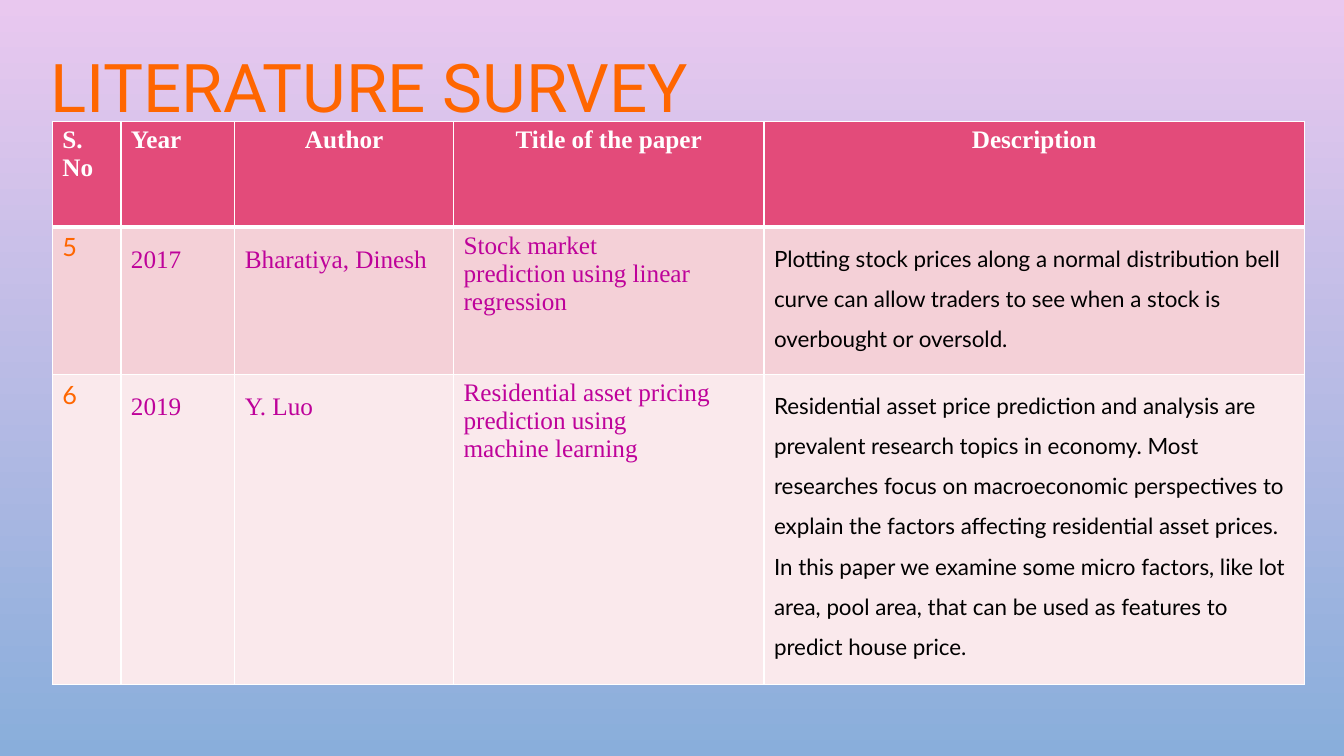
from dataclasses import dataclass

from lxml import etree
from pptx import Presentation
from pptx.dml.color import RGBColor
from pptx.enum.text import MSO_ANCHOR, PP_ALIGN
from pptx.oxml.ns import qn
from pptx.util import Pt

LEFT, CENTER = PP_ALIGN.LEFT, PP_ALIGN.CENTER
MIDDLE = MSO_ANCHOR.MIDDLE
BLANK_LAYOUT = 6


@dataclass(frozen=True)
class Theme:
    sky_top: str = "E9C8EF"
    sky_bottom: str = "89AEDB"
    accent: str = "FF6600"
    header_fill: str = "E34B7A"
    row_fills: tuple = ("F4D0D7", "FAE9EC")
    border: str = "FFFFFF"
    header_text: str = "FFFFFF"
    detail_text: str = "BE029A"
    description_text: str = "000000"
    title_font: str = "Roboto"
    serif_font: str = "Times New Roman"
    sans_font: str = "Lato"
    title_size: int = 48
    table_size: int = 18
    description_size: int = 16


THEME = Theme()
COLUMN_WIDTHS = (49, 81.4, 156.2, 221.8, 385.9)
ROW_HEIGHTS = (75.6, 105.1, 221.8)
HEADERS = (
    ("S. No", LEFT),
    ("Year", LEFT),
    ("Author", CENTER),
    ("Title of the paper", CENTER),
    ("Description", CENTER),
)
PAPERS = (
    ("5", "2017", "Bharatiya, Dinesh",
     "Stock market\nprediction using linear regression",
     "Plotting stock prices along a normal distribution bell curve can allow "
     "traders to see when a stock is overbought or oversold."),
    ("6", "2019", "Y. Luo",
     "Residential asset pricing prediction using\nmachine learning",
     "Residential asset price prediction and analysis are prevalent research "
     "topics in economy. Most researches focus on macroeconomic perspectives to "
     "explain the factors affecting residential asset prices. In this paper we "
     "examine some micro factors, like lot area, pool area, that can be used as "
     "features to predict house price."),
)
SERIF = dict(font=THEME.serif_font, size=THEME.table_size, color=THEME.detail_text)
COLUMN_FORMATS = (
    dict(font=THEME.sans_font, size=THEME.table_size, color=THEME.accent),
    dict(SERIF, line_spacing=1.5),
    dict(SERIF, line_spacing=1.5),
    SERIF,
    dict(font=THEME.sans_font, size=THEME.description_size,
         color=THEME.description_text, line_spacing=1.5),
)


def write_text(text_frame, text, *, font, size, color, bold=False,
               align=LEFT, line_spacing=1.0):
    """Fill a text frame, with one paragraph for each line of the text."""
    text_frame.word_wrap = True
    for index, line in enumerate(text.split("\n")):
        paragraph = text_frame.add_paragraph() if index else text_frame.paragraphs[0]
        paragraph.alignment = align
        paragraph.line_spacing = line_spacing
        run = paragraph.add_run()
        run.text = line
        run.font.name = font
        run.font.size = Pt(size)
        run.font.bold = bold
        run.font.color.rgb = RGBColor.from_string(color)


class SlideBuilder:
    def __init__(self, slide, theme):
        self.slide = slide
        self.theme = theme

    def background(self):
        fill = self.slide.background.fill
        fill.gradient()
        fill.gradient_angle = 270
        colors = (self.theme.sky_top, self.theme.sky_bottom)
        for stop, color in zip(fill.gradient_stops, colors):
            stop.color.rgb = RGBColor.from_string(color)

    def title(self, text, left, top, width, height):
        box = self.slide.shapes.add_textbox(Pt(left), Pt(top), Pt(width), Pt(height))
        box.text_frame.vertical_anchor = MIDDLE
        write_text(box.text_frame, text, font=self.theme.title_font,
                   size=self.theme.title_size, color=self.theme.accent,
                   line_spacing=0.9)

    def table(self, left, top, column_widths, row_heights):
        frame = self.slide.shapes.add_table(
            len(row_heights), len(column_widths), Pt(left), Pt(top),
            Pt(sum(column_widths)), Pt(sum(row_heights)))
        table = frame.table
        table.horz_banding = False
        for column, width in zip(table.columns, column_widths):
            column.width = Pt(width)
        for row, height in zip(table.rows, row_heights):
            row.height = Pt(height)
        return table

    def cell(self, cell, text, fill, top_border=1, bottom_border=1, **text_format):
        properties = cell._tc.get_or_add_tcPr()
        borders = (("a:lnL", 1), ("a:lnR", 1),
                   ("a:lnT", top_border), ("a:lnB", bottom_border))
        for tag, width in borders:
            line = etree.SubElement(properties, qn(tag), w=str(Pt(width)))
            solid = etree.SubElement(line, qn("a:solidFill"))
            etree.SubElement(solid, qn("a:srgbClr"), val=self.theme.border)
        cell.fill.solid()
        cell.fill.fore_color.rgb = RGBColor.from_string(fill)
        write_text(cell.text_frame, text, **text_format)


def main():
    presentation = Presentation()
    presentation.slide_width, presentation.slide_height = Pt(960), Pt(540)
    slide = presentation.slides.add_slide(presentation.slide_layouts[BLANK_LAYOUT])
    builder = SlideBuilder(slide, THEME)
    builder.background()
    builder.title("LITERATURE SURVEY", 28.8, 31, 789.8, 67.7)

    table = builder.table(37.4, 86.6, COLUMN_WIDTHS, ROW_HEIGHTS)
    for column, (header, align) in enumerate(HEADERS):
        builder.cell(table.cell(0, column), header, THEME.header_fill,
                     bottom_border=3, font=THEME.serif_font, size=THEME.table_size,
                     color=THEME.header_text, bold=True, align=align)
    for row, (paper, fill) in enumerate(zip(PAPERS, THEME.row_fills), start=1):
        for column, (text, text_format) in enumerate(zip(paper, COLUMN_FORMATS)):
            builder.cell(table.cell(row, column), text, fill,
                         top_border=3 if row == 1 else 1, **text_format)

    presentation.save("out.pptx")


if __name__ == "__main__":
    main()
